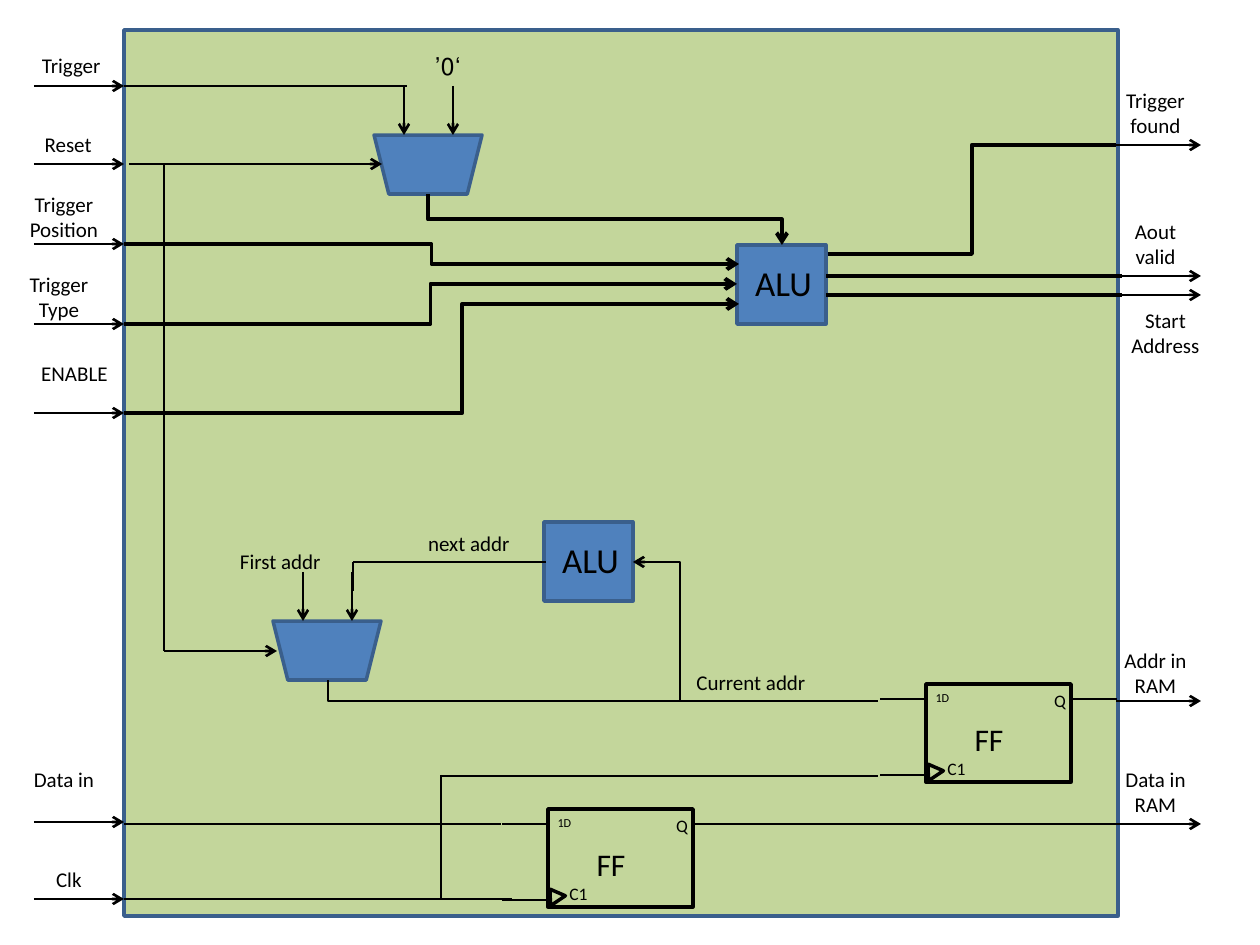
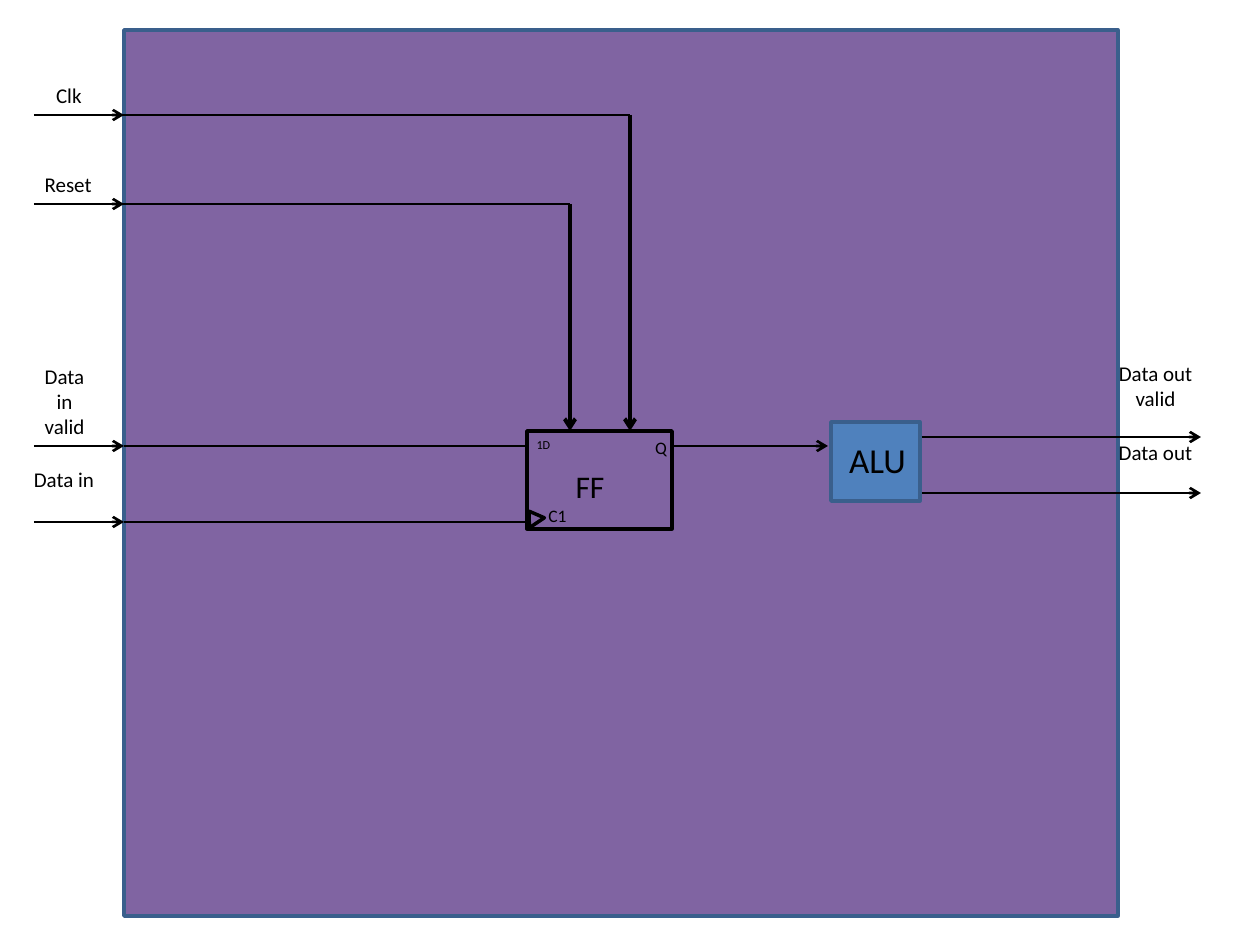
from lxml.etree import SubElement
from pptx import Presentation
from pptx.dml.color import RGBColor
from pptx.enum.shapes import MSO_CONNECTOR, MSO_SHAPE
from pptx.enum.text import PP_ALIGN
from pptx.oxml.ns import qn
from pptx.util import Emu, Pt

BLACK, BLUE, EDGE = "000000", "4F81BD", "3A5F8C"
GREEN, PURPLE = "C3D69B", "8064A2"
FRAME = (124, 30, 994, 886)
LEFT, RIGHT_EDGE = 124, 1116
C, R = PP_ALIGN.CENTER, PP_ALIGN.RIGHT
THICK = 2.25

# Port labels: left, width, height above the arrow, alignment
INPUTS = {
    "Clk": (35, 59, 39, R),
    "Reset": (25, 79, 39, R),
    "Trigger": (25, 88, 40, R),
    "Trigger\nPosition": (15, 98, 59, C),
    "Trigger\nType": (15, 88, 59, C),
    "ENABLE": (25, 99, 59, C),
    "Data in": (15, 98, 62, C),
    "Data in valid": (25, 79, 89, C),
}
OUTPUTS = {
    "Trigger found": (1106, 99, 64, C),
    "Aout valid": (1106, 99, 64, C),
    "Start Address": (1110, 111, -6, C),
    "Addr in RAM": (1106, 99, 60, C),
    "Data in RAM": (1106, 99, 64, C),
    "Data out valid": (1106, 99, 83, C),
    "Data out": (1106, 99, 60, C),
}


def px(n):
    return Emu(round(n * 914400 / 126))


def rgb(color):
    return RGBColor.from_string(color)


def block(s, kind, x, y, w, h, fill=None, edge=EDGE, rotation=0):
    sp = s.shapes.add_shape(kind, px(x), px(y), px(w), px(h))
    sp.shadow.inherit = False
    sp.rotation = rotation
    if fill:
        sp.fill.solid()
        sp.fill.fore_color.rgb = rgb(fill)
    else:
        sp.fill.background()
    sp.line.color.rgb = rgb(edge)
    sp.line.width = Pt(2)


def label(s, text, x, y, w, h=38, size=12, align=C, rtl=False):
    tf = s.shapes.add_textbox(px(x), px(y), px(w), px(h)).text_frame
    tf.word_wrap = True
    tf.text = text
    for p in tf.paragraphs:
        p.alignment = align
        if rtl:
            p._p.get_or_add_pPr().set("rtl", "1")
        for key, value in {"name": "Calibri", "size": Pt(size)}.items():
            setattr(p.runs[0].font, key, value)
        p.runs[0].font.color.rgb = rgb(BLACK)


def wire(s, x1, y1, x2, y2, end=None, width=1.5, kind=MSO_CONNECTOR.STRAIGHT):
    """Draw a connector; end is "headEnd" or "tailEnd" for an arrowhead."""
    cn = s.shapes.add_connector(kind, px(x1), px(y1), px(x2), px(y2))
    cn.line.color.rgb = rgb(BLACK)
    cn.line.width = Pt(width)
    spPr = cn._element.spPr
    if end:
        SubElement(spPr.find(qn("a:ln")), qn("a:" + end), type="arrow")
    SubElement(spPr, qn("a:effectLst"))
    return spPr


def arrow(s, x1, y1, x2, y2, width=1.5):
    return wire(s, x1, y1, x2, y2, "tailEnd", width)


def corner(s, x1, y1, x2, y2, end=None):
    """One bend: across, then up or down."""
    spPr = wire(s, x1, y1, x2, y2, end, kind=MSO_CONNECTOR.ELBOW)
    spPr.find(qn("a:prstGeom")).set("prst", "bentConnector2")


def step(s, x1, y1, x2, y2, end="tailEnd", bend=0.5):
    """Two bends: across, up or down, across."""
    spPr = wire(s, x1, y1, x2, y2, end, THICK, MSO_CONNECTOR.ELBOW)
    av = spPr.find(qn("a:prstGeom")).find(qn("a:avLst"))
    SubElement(av, qn("a:gd"), name="adj1", fmla=f"val {round(bend * 100000)}")


def drop(s, x1, y1, x2, y2):
    """Two bends: down, across, down (a step turned by 270 degrees)."""
    cx, cy, dx, dy = (x1 + x2) / 2, (y1 + y2) / 2, (x2 - x1) / 2, (y2 - y1) / 2
    spPr = wire(s, cx + dy, cy - dx, cx - dy, cy + dx, "tailEnd", THICK,
                MSO_CONNECTOR.ELBOW)
    spPr.find(qn("a:xfrm")).set("rot", str(270 * 60000))


def ports(s, rows, boxes, x1, x2):
    for text, y in rows.items():
        x, w, lift, align = boxes[text]
        arrow(s, x1, y, x2, y)
        label(s, text, x, y - lift, w, align=align)


def frame(s, fill, inputs, outputs):
    block(s, MSO_SHAPE.RECTANGLE, *FRAME, fill)
    ports(s, inputs, INPUTS, 34, LEFT)
    ports(s, outputs, OUTPUTS, RIGHT_EDGE, 1201)


def alu(s, x, y):
    block(s, MSO_SHAPE.RECTANGLE, x, y, 89, 79, BLUE)
    label(s, "ALU", x - 3, y + 10, 99, 55, 20)


def mux(s, x, y):
    block(s, MSO_SHAPE.TRAPEZOID, x, y, 108, 59, BLUE, rotation=180)
    for dx in (30, 79):
        arrow(s, x + dx, y - 49, x + dx, y)


def flip_flop(s, x, y):
    block(s, MSO_SHAPE.RECTANGLE, x, y, 145, 98, edge=BLACK)
    block(s, MSO_SHAPE.ISOSCELES_TRIANGLE, x - 3, y + 79, 18, 14,
          edge=BLACK, rotation=326.2)
    # Pins: clock, data, output
    for dx, dy in ((-46, 91), (-46, 15), (145, 15)):
        wire(s, x + dx, y + dy, x + dx + 46, y + dy)
    for text, dx, dy, w, h, size in (("FF", 34, 30, 58, 50, 18),
                                     ("C1", 3, 68, 55, 34, 10),
                                     ("1D", -10, 0, 53, 28, 7),
                                     ("Q", 115, 0, 38, 26, 10)):
        label(s, text, x + dx, y + dy, w, h, size)


def trigger_logic(s):
    mux(s, 374, 135)
    label(s, "‘0’", 413, 45, 69, 43, 14, rtl=True)
    wire(s, LEFT, 86, 407, 86)
    arrow(s, 129, 164, 382, 164)
    alu(s, 737, 245)
    # Control inputs
    step(s, LEFT, 244, 739, 264)
    step(s, LEFT, 413, 739, 304, bend=0.55)
    step(s, LEFT, 324, 737, 284)
    drop(s, 428, 194, 782, 245)
    # Results
    step(s, 828, 254, RIGHT_EDGE, 145, end=None)
    for y in (276, 295):
        wire(s, 826, y, 1122, y, width=THICK)


def address_counter(s):
    alu(s, 544, 522)
    mux(s, 273, 621)
    for text, x, y, w in (("First addr", 223, 542, 110),
                          ("next addr", 412, 524, 110),
                          ("Current addr", 669, 663, 149)):
        label(s, text, x, y, w, align=R)
    corner(s, 633, 562, 680, 701, "headEnd")
    wire(s, 353, 562, 546, 562)
    wire(s, 353, 562, 353, 591)
    corner(s, 491, 701, 328, 680)
    wire(s, 481, 701, 878, 701)
    # Reset
    wire(s, 164, 165, 164, 651)
    arrow(s, 164, 651, 277, 651)


def output_registers(s):
    flip_flop(s, 548, 809)
    flip_flop(s, 926, 684)
    wire(s, LEFT, 899, 512, 899)
    wire(s, LEFT, 824, 501, 824)
    wire(s, 730, 824, RIGHT_EDGE, 824)
    # Clock branch
    wire(s, 441, 776, 878, 776)
    wire(s, 441, 775, 441, 899)


def trigger_slide(s):
    frame(s, GREEN,
          {"Trigger": 86, "Reset": 164, "Trigger\nPosition": 244,
           "Trigger\nType": 324, "ENABLE": 413, "Data in": 822, "Clk": 899},
          {"Trigger found": 145, "Aout valid": 276, "Start Address": 295,
           "Addr in RAM": 701, "Data in RAM": 824})
    trigger_logic(s)
    address_counter(s)
    output_registers(s)


def data_slide(s):
    frame(s, PURPLE,
          {"Clk": 115, "Reset": 204, "Data in valid": 446, "Data in": 522},
          {"Data out valid": 437, "Data out": 493})
    flip_flop(s, 527, 431)
    alu(s, 831, 422)
    # Data path
    wire(s, LEFT, 522, 512, 522)
    wire(s, LEFT, 446, 501, 446)
    arrow(s, 702, 446, 828, 446)
    for y in (437, 493):
        wire(s, 922, y, RIGHT_EDGE, y)
    # Clock and reset
    for x, y in ((630, 115), (570, 204)):
        wire(s, 112, y, x, y)
        arrow(s, x, y, x, 431, THICK)


def main():
    prs = Presentation()
    prs.slide_width, prs.slide_height = px(1260), px(945)
    for build in (trigger_slide, data_slide):
        build(prs.slides.add_slide(prs.slide_layouts[6]))
    prs.save("out.pptx")


if __name__ == "__main__":
    main()
